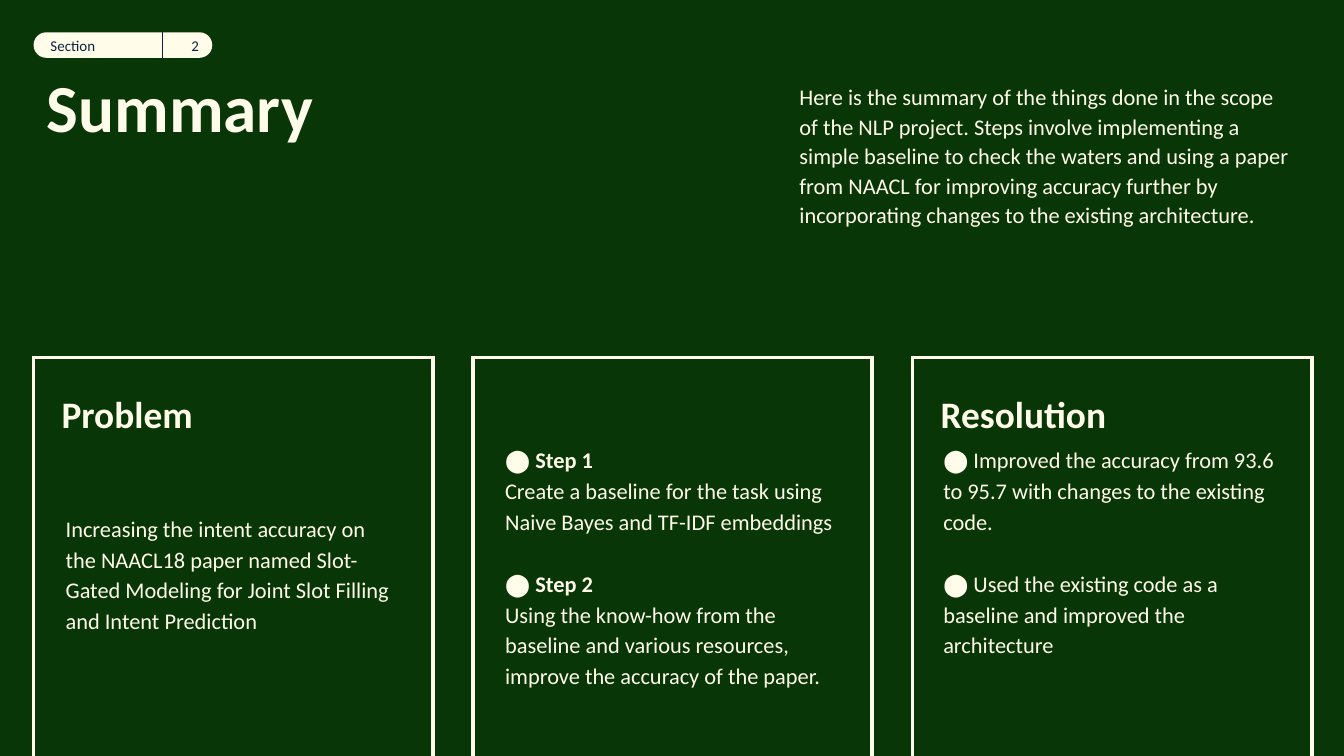
from lxml.etree import SubElement
from pptx import Presentation
from pptx.dml.color import RGBColor
from pptx.enum.shapes import MSO_CONNECTOR, MSO_SHAPE
from pptx.enum.text import MSO_ANCHOR as ANCHOR, PP_ALIGN as ALIGN
from pptx.oxml import parse_xml
from pptx.oxml.ns import nsdecls, qn
from pptx.util import Inches, Pt

COLORS = {"green": "093607", "cream": "FFFCE9", "navy": "0B213F"}
FONT = "Calibri"
CARD_LEFT, CARD_TOP, CARD_SIZE = 0.25, 2.66, 2.97
CARD_PITCH = 3.27
BLANK_LINE = 16.5

INTRO = (
    "Here is the summary of the things done in the scope of the NLP project. "
    "Steps involve implementing a simple baseline to check the waters and using "
    "a paper from NAACL for improving accuracy further by incorporating changes "
    "to the existing architecture."
)

# Each card: heading, box of the body relative to the card, paragraphs.
# A paragraph is (bullet, text, bold, space before).
CARDS = [
    ("Problem", (0.14, 0.62, 2.69, 1.54), [
        ("", "Increasing the intent accuracy on the NAACL18 paper named Slot-Gated "
             "Modeling for Joint Slot Filling and Intent Prediction", False, 0),
    ]),
    (None, (0.14, 0.8, 2.69, 1.77), [
        ("⬤ ", "Step 1", True, 0),
        ("", "Create a baseline for the task using Naive Bayes and TF-IDF embeddings",
         False, 0),
        ("⬤ ", "Step 2", True, BLANK_LINE),
        ("", "Using the know-how from the baseline and various resources, "
             "improve the accuracy of the paper.", False, 0),
    ]),
    ("Resolution", (0.13, 0.57, 2.69, 1.77), [
        ("⬤ ", "Improved the accuracy from 93.6 to 95.7 with changes to the "
               "existing code.", False, 0),
        ("⬤ ", "Used the existing code as a baseline and improved the architecture",
         False, BLANK_LINE),
    ]),
]


def rgb(name):
    return RGBColor.from_string(COLORS[name])


def set_frame(frame, anchor, inset_y=0.1):
    frame.word_wrap = True
    frame.vertical_anchor = anchor
    frame.margin_left = frame.margin_right = Inches(0.1)
    frame.margin_top = frame.margin_bottom = Inches(inset_y)


def style(paragraph, size, color="cream", bold=False, spacing=1.0, align=ALIGN.LEFT):
    font = paragraph.font
    font.name, font.size, font.bold = FONT, Pt(size), bold
    font.color.rgb = rgb(color)
    paragraph.line_spacing = spacing
    paragraph.alignment = align


def add_frame(slide, box, anchor=ANCHOR.TOP, inset_y=0.1):
    frame = slide.shapes.add_textbox(*map(Inches, box)).text_frame
    set_frame(frame, anchor, inset_y)
    return frame


def add_text(slide, box, text, size, **options):
    paragraph = add_frame(slide, box).paragraphs[0]
    paragraph.text = text
    style(paragraph, size, **options)


def add_section_tag(slide, left, top, width, height):
    pill = slide.shapes.add_shape(
        MSO_SHAPE.ROUNDED_RECTANGLE, *map(Inches, (left, top, width, height)))
    pill.adjustments[0] = 0.5
    pill.shadow.inherit = False
    pill.fill.solid()
    pill.fill.fore_color.rgb = rgb("cream")
    pill.line.fill.background()
    set_frame(pill.text_frame, ANCHOR.MIDDLE, 0)
    label = pill.text_frame.paragraphs[0]
    label.text = "Section"
    style(label, 8, "navy")

    split = left + 0.96
    divider = slide.shapes.add_connector(
        MSO_CONNECTOR.STRAIGHT,
        *map(Inches, (split, top, split, top + height)))
    divider.line.color.rgb = rgb("navy")
    divider.line.width = Pt(0.75)
    SubElement(divider.element.spPr, qn("a:effectLst"))

    number_box = (split, top, left + width - split, height)
    number = add_frame(slide, number_box, ANCHOR.MIDDLE, 0).paragraphs[0]
    number.text = "2"
    style(number, 8, "navy", align=ALIGN.RIGHT)


def add_header(slide, left, top):
    add_text(slide, (left, top, 3.25, 0.61), "Summary", 36, bold=True, spacing=0.8)
    add_text(slide, (left + 5.6, top, 3.86, 1.69), INTRO, 12, spacing=1.1)


def add_card_border(slide, left, top, size):
    """Draw a one-cell table that is open at the bottom."""
    table = slide.shapes.add_table(
        1, 1, *map(Inches, (left, top, size, size))).table
    table.first_row = table.horz_banding = False
    cell = table.cell(0, 0)
    cell.fill.background()
    properties = cell._tc.get_or_add_tcPr()
    solid = f'<a:solidFill><a:srgbClr val="{COLORS["cream"]}"/></a:solidFill>'
    for index, side in enumerate("LRTB"):
        paint = "<a:noFill/>" if side == "B" else solid
        properties.insert(index, parse_xml(
            f'<a:ln{side} {nsdecls("a")} w="{Pt(2.25)}">{paint}</a:ln{side}>'))


def add_card(slide, left, top, heading, body_box, paragraphs):
    add_card_border(slide, left, top, CARD_SIZE)
    if heading:
        add_text(slide, (left + 0.11, top + 0.15, 2.74, 0.81), heading, 20, bold=True)

    dx, dy, width, height = body_box
    body = add_frame(slide, (left + dx, top + dy, width, height), ANCHOR.BOTTOM)
    for index, (bullet, text, bold, gap) in enumerate(paragraphs):
        paragraph = body.add_paragraph() if index else body.paragraphs[0]
        style(paragraph, 12, spacing=1.15)
        paragraph.space_before = Pt(gap)
        if bullet:
            paragraph.add_run().text = bullet
        content = paragraph.add_run()
        content.text = text
        if bold:
            content.font.bold = True


def main():
    deck = Presentation()
    deck.slide_width = Inches(10)
    deck.slide_height = deck.slide_width * 9 // 16
    slide = deck.slides.add_slide(deck.slide_layouts[6])
    slide.background.fill.solid()
    slide.background.fill.fore_color.rgb = rgb("green")

    for column, card in enumerate(CARDS):
        add_card(slide, CARD_LEFT + column * CARD_PITCH, CARD_TOP, *card)
    add_header(slide, 0.25, 0.5)
    add_section_tag(slide, 0.25, 0.24, 1.33, 0.19)
    deck.save("out.pptx")


if __name__ == "__main__":
    main()
